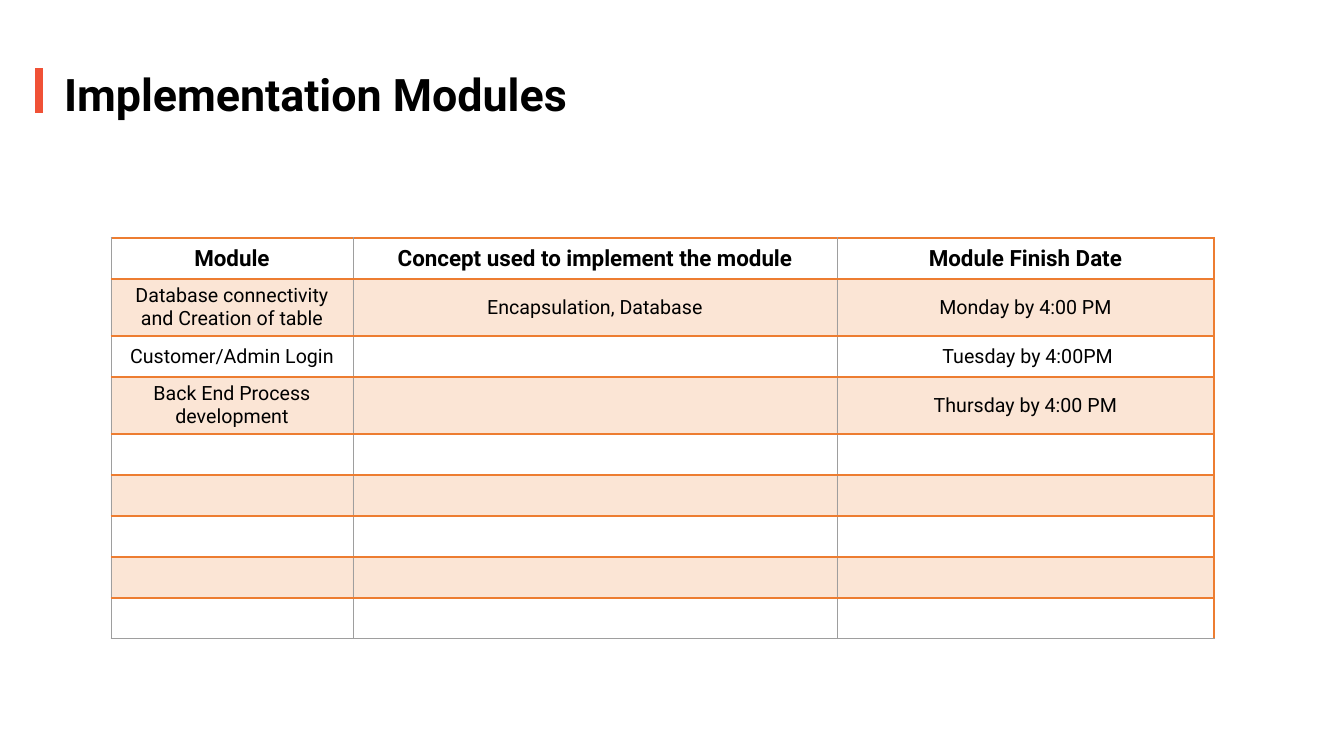
from typing import NamedTuple

from lxml import etree
from pptx import Presentation
from pptx import util as u
from pptx.dml.color import RGBColor
from pptx.enum import shapes, text
from pptx.oxml import ns

EMU_PER_PX = 914400 / 100.8
ORANGE = RGBColor(0xED, 0x7D, 0x31)
RED = RGBColor(0xF0, 0x51, 0x36)
GREY = RGBColor(0x9E, 0x9E, 0x9E)
WHITE = RGBColor(0xFF, 0xFF, 0xFF)
BLACK = RGBColor(0, 0, 0)


class Border(NamedTuple):
    color: RGBColor
    points: float


class ModuleRow(NamedTuple):
    height: int
    texts: tuple[str, str, str] = ("", "", "")


THIN_GREY, THIN_ORANGE = Border(GREY, 0.75), Border(ORANGE, 1)
MID_ORANGE, THICK_ORANGE = Border(ORANGE, 1.5), Border(ORANGE, 2)

COLUMN_WIDTHS = (242, 484, 377)
HEADER_ROW, BACK_END_ROW = 0, 3
MODULE_ROWS = [
    ModuleRow(41, ("Module", "Concept used to implement the module", "Module Finish Date")),
    ModuleRow(57, ("Database connectivity and Creation of table",
                   "Encapsulation, Database", "Monday by 4:00 PM")),
    ModuleRow(41, ("Customer/Admin Login", "", " Tuesday by 4:00PM")),
    ModuleRow(57, ("Back End Process development", "", "Thursday by 4:00 PM")),
    *[ModuleRow(41)] * 5,
]


def px(*lengths: int) -> list[u.Emu]:
    return [u.Emu(round(length * EMU_PER_PX)) for length in lengths]


def write(frame, words: str, size: int, bold: bool, align) -> None:
    paragraph = frame.paragraphs[0]
    paragraph.alignment = align
    run = paragraph.add_run()
    run.text = words
    for key, value in {"name": "Roboto", "size": u.Pt(size), "bold": bold}.items():
        setattr(run.font, key, value)
    run.font.color.rgb = BLACK


def add_border(cell, side: str, border: Border) -> None:
    line = etree.SubElement(cell._tc.get_or_add_tcPr(), ns.qn(f"a:ln{side}"),
                            w=str(u.Pt(border.points)))
    fill = etree.SubElement(line, ns.qn("a:solidFill"))
    etree.SubElement(fill, ns.qn("a:srgbClr"), val=str(border.color))


def row_border(row: int) -> Border:
    """Border below a row; row -1 is the top edge of the table."""
    special = {HEADER_ROW: THICK_ORANGE, BACK_END_ROW: MID_ORANGE,
               len(MODULE_ROWS) - 1: THIN_GREY}
    return special.get(row, THIN_ORANGE)


def format_cell(cell, row: int, column: int, words: str) -> None:
    last = column == len(COLUMN_WIDTHS) - 1
    borders = {"L": THIN_GREY, "R": MID_ORANGE if last else THIN_GREY,
               "T": row_border(row - 1), "B": row_border(row)}
    for side, border in borders.items():
        add_border(cell, side, border)
    if row % 2:
        cell.fill.solid()
        cell.fill.fore_color.rgb = ORANGE
        tint = cell._tc.tcPr.find(".//" + ns.qn("a:solidFill") + "[last()]")
        tint = cell._tc.tcPr.findall(ns.qn("a:solidFill"))[0][0]
        etree.SubElement(tint, ns.qn("a:alpha"), val="20000")
    else:
        cell.fill.background()
    cell.vertical_anchor = text.MSO_ANCHOR.MIDDLE
    if words:
        header = row == HEADER_ROW
        write(cell.text_frame, words, 16 if header else 14, header, text.PP_ALIGN.CENTER)


deck = Presentation()
deck.slide_width, deck.slide_height = px(1344, 756)
slide = deck.slides.add_slide(deck.slide_layouts[5])

# Heading with its accent bar
accent = slide.shapes.add_shape(shapes.MSO_SHAPE.RECTANGLE, *px(34, 67, 10, 47))
accent.shadow.inherit = False
accent.fill.solid()
accent.fill.fore_color.rgb = RED
accent.line.color.rgb = WHITE
accent.line.width = u.Pt(1)

heading = slide.shapes.title
for side, length in zip(("left", "top", "width", "height"), px(54, 62, 576, 64)):
    setattr(heading, side, length)
heading_format = {"word_wrap": False, "auto_size": text.MSO_AUTO_SIZE.NONE,
                  "vertical_anchor": text.MSO_ANCHOR.MIDDLE}
for key, value in heading_format.items():
    setattr(heading.text_frame, key, value)
write(heading.text_frame, "Implementation Modules", 32, True, text.PP_ALIGN.LEFT)

# Module schedule
schedule = slide.shapes.add_table(
    len(MODULE_ROWS), len(COLUMN_WIDTHS),
    *px(111, 238, sum(COLUMN_WIDTHS), sum(row.height for row in MODULE_ROWS))).table
schedule.first_row = schedule.horz_banding = False
for column, width in zip(schedule.columns, px(*COLUMN_WIDTHS)):
    column.width = width
for r, module in enumerate(MODULE_ROWS):
    schedule.rows[r].height = px(module.height)[0]
    for c, words in enumerate(module.texts):
        format_cell(schedule.cell(r, c), r, c, words)

deck.save("out.pptx")
